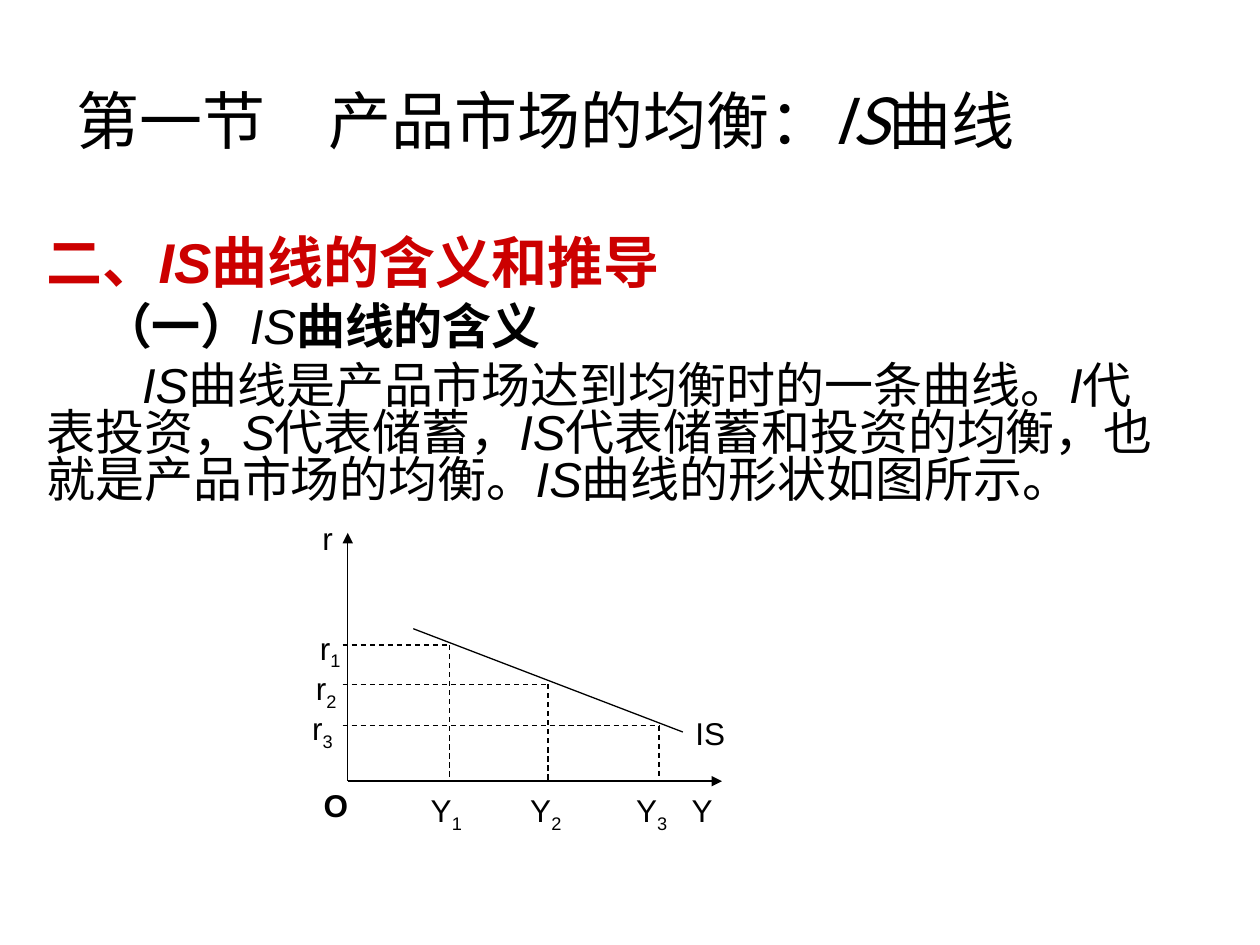
from lxml.etree import SubElement
from pptx import Presentation
from pptx.dml.color import RGBColor
from pptx.enum.dml import MSO_LINE
from pptx.enum.shapes import MSO_CONNECTOR
from pptx.enum.text import MSO_ANCHOR, MSO_AUTO_SIZE, PP_ALIGN
from pptx.oxml.ns import qn
from pptx.util import Inches, Pt

CJK_FONT = "Noto Sans CJK SC"
BLACK, RED = "000000", "CC0000"

TITLE = "第一节　产品市场的均衡：*IS*曲线"
BODY = [
    dict(text="二、*IS*曲线的含义和推导", size=32, color=RED,
         bold=True, italic_bold=True, indent=0, before=0),
    dict(text="（一）*IS*曲线的含义", size=28, color=BLACK,
         bold=True, italic_bold=False, indent=0.45, before=7),
    dict(text="*IS*曲线是产品市场达到均衡时的一条曲线。*I*代表投资，*S*代表储蓄，"
              "*IS*代表储蓄和投资的均衡，也就是产品市场的均衡。*IS*曲线的形状如图所示。",
         size=28, color=BLACK, bold=False, italic_bold=False, indent=0.76, before=7),
]

ORIGIN_X, ORIGIN_Y = 2.76, 6.2
AXIS_ENDS = [(5.73, ORIGIN_Y, 1), (ORIGIN_X, 4.23, 0.75)]
IS_CURVE = (3.28, 4.99, 5.42, 5.81)
EQUILIBRIA = [(3.57, 5.12), (4.35, 5.43), (5.23, 5.76)]
INCOME_LABELS = [(3.32, 0.51), (4.11, 0.48), (4.95, 0.55)]
RATE_LABEL_WIDTH = 0.4
PLAIN_LABELS = [
    ("r", 2.46, 4.07, 0.28),
    ("Y", 5.39, 6.23, 0.36),
    ("O", 2.47, 6.19, 0.34),
    ("IS", 5.42, 5.62, 1.16),
]


def rgb(value):
    """Turn a hex string into a colour."""
    return RGBColor.from_string(value)


def style(run, size, color=BLACK, latin="Arial", bold=False, italic=False):
    """Format one run, with its East Asian font."""
    font = run.font
    font.size, font.name, font.bold, font.italic = Pt(size), latin, bold, italic
    font.color.rgb = rgb(color)
    SubElement(font._element, qn("a:ea")).set("typeface", CJK_FONT)


def add_mixed_runs(paragraph, text, italic_bold=False, bold=False, **look):
    """Write text whose starred words are italic."""
    for index, part in enumerate(text.split("*")):
        if part:
            italic = index % 2 == 1
            run = paragraph.add_run()
            run.text = part
            style(run, italic=italic, bold=italic_bold if italic else bold, **look)


def add_title(slide):
    """Place and fill the title placeholder."""
    title = slide.shapes.title
    title.left, title.top = Inches(0.51), Inches(0.21)
    title.width, title.height = Inches(9), Inches(1.48)
    frame = title.text_frame
    frame.auto_size = MSO_AUTO_SIZE.NONE
    frame.vertical_anchor = MSO_ANCHOR.MIDDLE
    paragraph = frame.paragraphs[0]
    paragraph.alignment = PP_ALIGN.LEFT
    add_mixed_runs(paragraph, TITLE, size=36, latin=CJK_FONT)


def add_body(slide):
    """Write the headings and the explanation."""
    frame = slide.shapes.add_textbox(
        Inches(0.27), Inches(1.86), Inches(9), Inches(5.29)).text_frame
    frame.word_wrap = True
    for index, item in enumerate(BODY):
        paragraph = frame.add_paragraph() if index else frame.paragraphs[0]
        paragraph.line_spacing = 0.8
        paragraph.space_before = Pt(item["before"])
        properties = paragraph._p.get_or_add_pPr()
        properties.set("marL", "0")
        properties.set("indent", str(Inches(item["indent"])))
        properties.set("hangingPunct", "0")
        add_mixed_runs(paragraph, item["text"], size=item["size"], color=item["color"],
                       bold=item["bold"], italic_bold=item["italic_bold"])


def add_line(diagram, x1, y1, x2, y2, width=0.75, dashed=False, arrow=False):
    """Draw one straight line of the diagram."""
    connector = diagram.shapes.add_connector(
        MSO_CONNECTOR.STRAIGHT, Inches(x1), Inches(y1), Inches(x2), Inches(y2))
    line = connector.line
    line.width = Pt(width)
    line.color.rgb = rgb(BLACK)
    if dashed:
        line.dash_style = MSO_LINE.DASH
    if arrow:
        SubElement(line._get_or_add_ln(), qn("a:tailEnd")).set("type", "triangle")
    SubElement(connector._element.spPr, qn("a:effectLst"))


def add_label(diagram, text, left, top, width, subscript="", bold=False):
    """Write a diagram label with an optional subscript."""
    height = 0.44 if subscript else 0.4
    frame = diagram.shapes.add_textbox(
        Inches(left), Inches(top), Inches(width), Inches(height)).text_frame
    frame.word_wrap = True
    frame.auto_size = MSO_AUTO_SIZE.SHAPE_TO_FIT_TEXT
    paragraph = frame.paragraphs[0]
    paragraph.text = text
    style(paragraph.runs[0], 18, bold=bold)
    if subscript:
        run = paragraph.add_run()
        run.text = subscript
        style(run, 18)
        run.font._element.set("baseline", "-25000")


def add_diagram(slide):
    """Draw the IS curve with its axes, guides and labels."""
    diagram = slide.shapes.add_group_shape()
    for end_x, end_y, width in AXIS_ENDS:
        add_line(diagram, ORIGIN_X, ORIGIN_Y, end_x, end_y, width, arrow=True)
    add_line(diagram, *IS_CURVE)
    for index, ((income, rate), (left, width)) in enumerate(zip(EQUILIBRIA, INCOME_LABELS)):
        number = str(index + 1)
        add_line(diagram, 2.72, rate, income, rate, dashed=True)
        add_line(diagram, income, rate, income, ORIGIN_Y, dashed=True)
        add_label(diagram, "r", 2.44 - 0.03 * index, 4.94 + 0.32 * index,
                  RATE_LABEL_WIDTH, number)
        add_label(diagram, "Y", left, 6.23, width, number)
    for text, left, top, width in PLAIN_LABELS:
        add_label(diagram, text, left, top, width, bold=text == "O")


def main():
    """Build and save the slide."""
    presentation = Presentation()
    presentation.slide_width, presentation.slide_height = Inches(10), Inches(7.5)
    slide = presentation.slides.add_slide(presentation.slide_layouts[5])
    add_title(slide)
    add_body(slide)
    add_diagram(slide)
    presentation.save("out.pptx")


if __name__ == "__main__":
    main()
